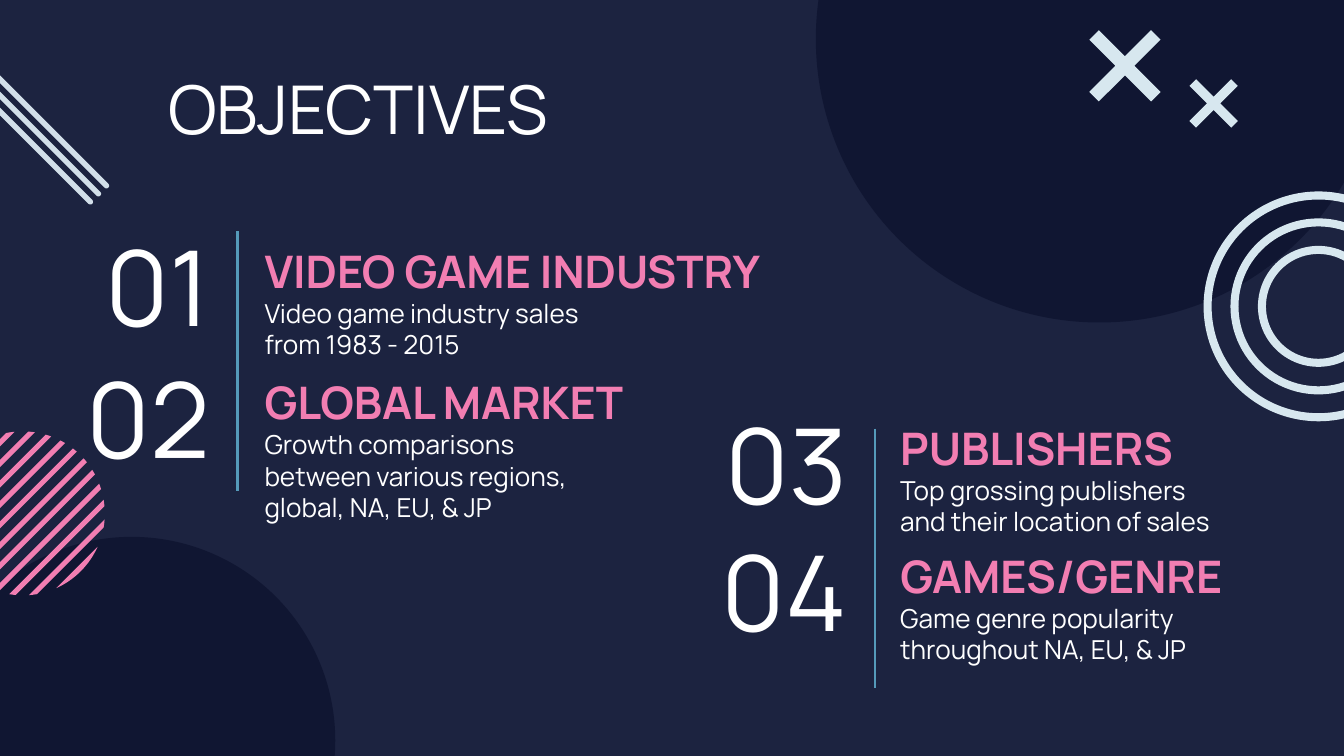
from math import acos, cos, pi, sin, sqrt

from lxml.etree import SubElement
from pptx import Presentation
from pptx.dml.color import RGBColor
from pptx.enum.shapes import MSO_CONNECTOR, MSO_SHAPE
from pptx.enum.text import MSO_ANCHOR, MSO_AUTO_SIZE, PP_ALIGN
from pptx.oxml.ns import qn
from pptx.util import Inches, Pt

FONT = "Manrope"
BACKGROUND, NAVY, WHITE = "1C2340", "101632", "FFFFFF"
PINK, PALE, PALE_BAR, BLUE = "F27EB2", "D7E7EF", "D2DFE9", "559ABA"


def set_fill(fill, color):
    fill.solid()
    fill.fore_color.rgb = RGBColor.from_string(color)


def style_shape(shape, color):
    shape.shadow.inherit = False
    set_fill(shape.fill, color)
    shape.line.fill.background()


def write_text(shape, text, size, color, bold=False,
               align=PP_ALIGN.LEFT, anchor=MSO_ANCHOR.TOP):
    frame = shape.text_frame
    frame.text = text
    frame.word_wrap = True
    frame.auto_size = MSO_AUTO_SIZE.NONE
    frame.vertical_anchor = anchor
    frame.margin_left = frame.margin_right = Inches(0.1)
    frame.margin_top = frame.margin_bottom = Inches(0.1)
    paragraph = frame.paragraphs[0]
    paragraph.alignment = align
    font = paragraph.runs[0].font
    font.name, font.size, font.bold = FONT, Pt(size), bold
    font.color.rgb = RGBColor.from_string(color)


def add_text(slide, left, top, width, height, *content, **options):
    box = slide.shapes.add_textbox(
        Inches(left), Inches(top), Inches(width), Inches(height))
    write_text(box, *content, **options)


def add_centered(shapes, kind, center_x, center_y, width, height, color):
    shape = shapes.add_shape(
        kind, Inches(center_x - width / 2), Inches(center_y - height / 2),
        Inches(width), Inches(height))
    style_shape(shape, color)
    return shape


def add_title(slide, left, top, width, height, text):
    title = slide.shapes.title
    title.left, title.top = Inches(left), Inches(top)
    title.width, title.height = Inches(width), Inches(height)
    write_text(title, text, 36, WHITE)


def add_striped_disc(slide, center_x, center_y, radius):
    """Diagonal bands clipped by a circle."""
    shapes = slide.shapes.add_group_shape().shapes
    count, pitch, band, steps = 11, 0.108, 0.038, 10
    for index in range(count):
        start = (index - count // 2) * pitch + 0.03
        end = radius if index == count - 1 else start + band
        wide, narrow = acos(start / radius), acos(end / radius)
        arc = [wide + (narrow - wide) * step / steps for step in range(steps + 1)]
        angles = [pi / 4 - angle for angle in arc]
        angles += [pi / 4 + angle for angle in reversed(arc)]
        points = [(Inches(center_x + radius * cos(angle)),
                   Inches(center_y + radius * sin(angle))) for angle in angles]
        builder = shapes.build_freeform(*points[0])
        builder.add_line_segments(points[1:], close=True)
        style_shape(builder.convert_to_shape(), PINK)


def add_rings(slide, center_x, center_y, diameters, thickness):
    shapes = slide.shapes.add_group_shape().shapes
    for diameter in diameters:
        ring = add_centered(shapes, MSO_SHAPE.DONUT, center_x, center_y,
                            diameter, diameter, PALE)
        ring.adjustments[0] = thickness / diameter


def add_diagonal_bars(slide, center_x, center_y, length, thickness):
    shapes = slide.shapes.add_group_shape().shapes
    for index in range(3):
        shift = 0.06 * index
        bar = add_centered(shapes, MSO_SHAPE.ROUNDED_RECTANGLE, center_x - shift,
                           center_y + shift, length, thickness, PALE_BAR)
        bar.adjustments[0] = 0.5
        bar.rotation = 45


def add_cross(slide, center_x, center_y, extent, thickness):
    """A diagonal cross that spans the given extent once rotated."""
    arm = extent * sqrt(2) - thickness
    cross = add_centered(slide.shapes, MSO_SHAPE.CROSS, center_x, center_y,
                         arm, arm, PALE)
    cross.adjustments[0] = (1 - thickness / arm) / 2
    cross.rotation = 45


def add_objectives(slide, left, top, text_left, first_row, pitch,
                   heading_height, items):
    """Numbered objectives on both sides of a vertical rule."""
    rule = slide.shapes.add_connector(
        MSO_CONNECTOR.STRAIGHT, Inches(left), Inches(top),
        Inches(left), Inches(top + 1.93))
    rule.line.color.rgb = RGBColor.from_string(BLUE)
    rule.line.width = Pt(1.5)
    SubElement(rule.element.spPr, qn("a:effectLst"))
    for index, (number, heading, heading_width, body) in enumerate(items):
        row = top + first_row + index * pitch
        add_text(slide, left - 1.56, row - 0.12, 1.45, 0.26, number, 56, WHITE,
                 align=PP_ALIGN.RIGHT, anchor=MSO_ANCHOR.MIDDLE)
        add_text(slide, left + text_left, row + 0.2 - heading_height,
                 heading_width, heading_height, heading, 24, PINK, bold=True,
                 anchor=MSO_ANCHOR.BOTTOM)
        add_text(slide, left + text_left, row, 2.57, 0.44, body, 14, WHITE)


def main():
    presentation = Presentation()
    presentation.slide_width = Inches(10)
    presentation.slide_height = Inches(10 * 9 / 16)
    slide = presentation.slides.add_slide(presentation.slide_layouts[5])
    set_fill(slide.background.fill, BACKGROUND)
    add_title(slide, 1.15, 0.4, 4.05, 0.98, "OBJECTIVES")

    # Decoration
    for center_x, center_y, diameter in ((0.98, 5.51, 3.03), (8.18, 0.29, 4.22)):
        add_centered(slide.shapes, MSO_SHAPE.OVAL, center_x, center_y,
                     diameter, diameter, NAVY)
    add_striped_disc(slide, 0.17, 3.82, 0.61)
    add_rings(slide, 9.81, 2.28, (1.71, 1.31, 0.9), 0.06)
    add_diagonal_bars(slide, 0.23, 0.82, 1.63, 0.04)
    add_cross(slide, 9.03, 0.77, 0.36, 0.07)
    add_cross(slide, 8.37, 0.49, 0.53, 0.1)

    # Objectives
    add_objectives(slide, 1.77, 1.72, 0.1, 0.39, 0.98, 0.65, [
        ("01", "VIDEO GAME INDUSTRY", 4.14,
         "Video game industry sales from 1983 - 2015"),
        ("02", "GLOBAL MARKET", 3.16,
         "Growth comparisons between various regions, global, NA, EU, & JP"),
    ])
    add_objectives(slide, 6.51, 3.19, 0.09, 0.24, 0.95, 0.26, [
        ("03", "PUBLISHERS", 2.57,
         "Top grossing publishers and their location of sales"),
        ("04", "GAMES/GENRE", 2.95,
         "Game genre popularity throughout NA, EU, & JP"),
    ])
    presentation.save("out.pptx")


if __name__ == "__main__":
    main()
